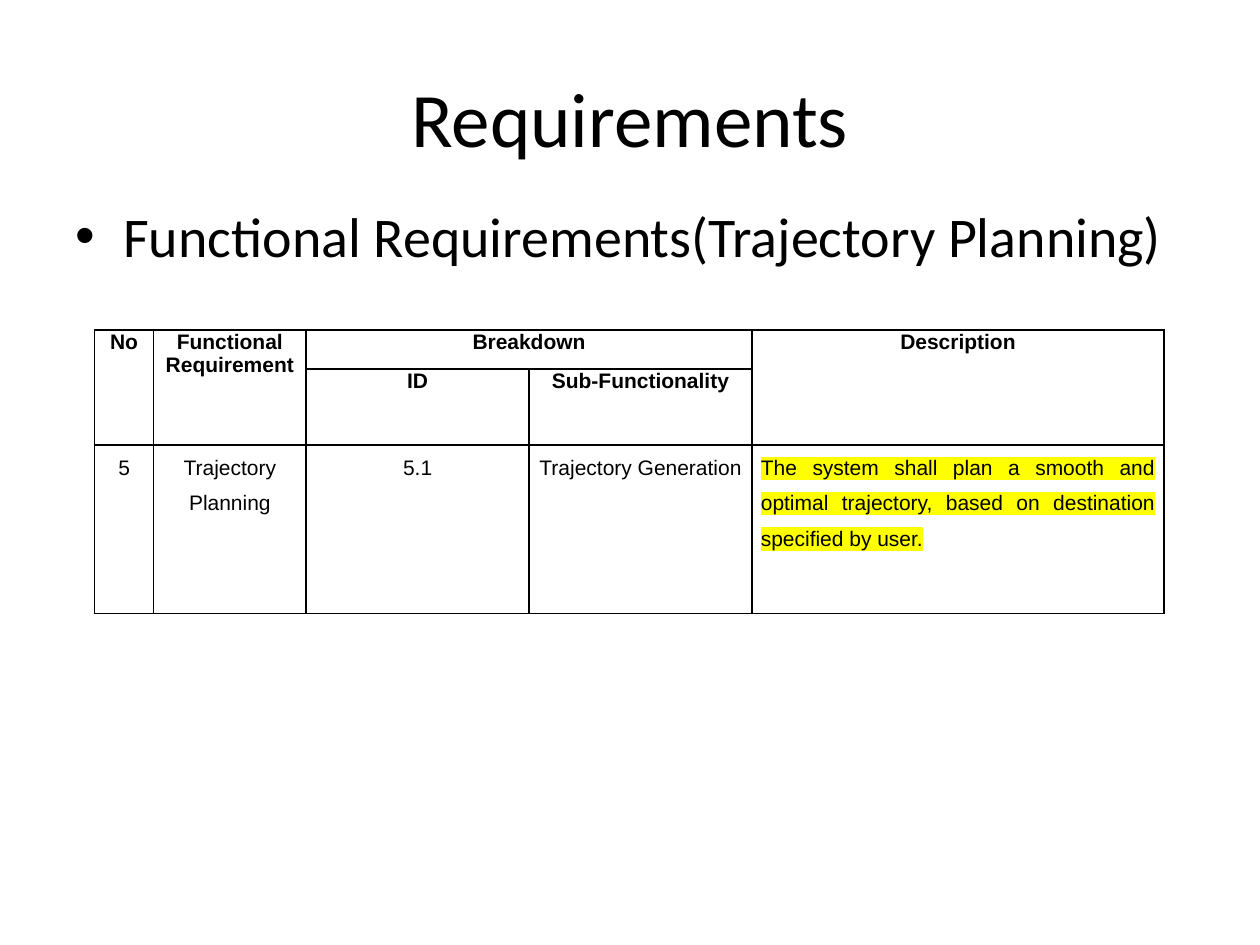
from lxml.etree import SubElement
from pptx import Presentation
from pptx.dml.color import RGBColor
from pptx.enum.text import MSO_ANCHOR as Anchor, PP_ALIGN as Align
from pptx.oxml import parse_xml
from pptx.oxml.ns import nsdecls, qn
from pptx.util import Inches, Pt

BLACK = RGBColor(0, 0, 0)
YELLOW = RGBColor(255, 255, 0)

deck = Presentation()
deck.slide_width, deck.slide_height = Inches(10), Inches(7.5)
slide = deck.slides.add_slide(deck.slide_layouts[6])


def add_run(para, text, size, face, bold=False):
    run = para.add_run()
    run.text = text
    font = run.font
    font.size, font.name, font.bold = Pt(size), face, bold
    font.color.rgb = BLACK
    return run


def add_edges(cell):
    """Draw a thin black line on all four sides of the cell."""
    props = cell._tc.get_or_add_tcPr()
    for spot, tag in enumerate(("lnL", "lnR", "lnT", "lnB")):
        props.insert(spot, parse_xml(
            f'<a:{tag} {nsdecls("a")} w="12700"><a:solidFill>'
            f'<a:srgbClr val="{BLACK}"/></a:solidFill></a:{tag}>'))


# Title
box = slide.shapes.add_textbox(Inches(0.5), Inches(0.3), Inches(9), Inches(1.25))
frame = box.text_frame
frame.word_wrap = True
frame.vertical_anchor = Anchor.MIDDLE
para = frame.paragraphs[0]
para.alignment = Align.CENTER
add_run(para, "Requirements", 44, "Calibri")

# Bullet line
box = slide.shapes.add_textbox(Inches(0.5), Inches(1.55), Inches(9), Inches(5.15))
frame = box.text_frame
frame.word_wrap = True
para = frame.paragraphs[0]
props = para._p.get_or_add_pPr()
props.set("marL", str(Inches(0.38)))
props.set("indent", str(Inches(-0.38)))
SubElement(props, qn("a:buFont"), typeface="Arial")
SubElement(props, qn("a:buChar"), char="•")
add_run(para, "Functional Requirements(Trajectory Planning)", 32, "Calibri")

# Requirements table
WIDTHS = [0.47, 1.21, 1.77, 1.77, 3.27]
HEIGHTS = [0.31, 0.6, 1.34]
ROWS = [
    ["No", "Functional Requirement", "Breakdown", "", "Description"],
    ["", "", "ID", "Sub-Functionality", ""],
    ["5", "Trajectory Planning", "5.1", "Trajectory Generation",
     "The system shall plan a smooth and optimal trajectory, "
     "based on destination specified by user."],
]
grid = slide.shapes.add_table(
    len(ROWS), len(WIDTHS), Inches(0.75), Inches(2.62),
    Inches(sum(WIDTHS)), Inches(sum(HEIGHTS))).table
grid.first_row = grid.horz_banding = False
for col, width in zip(grid.columns, WIDTHS):
    col.width = Inches(width)
for row, height in zip(grid.rows, HEIGHTS):
    row.height = Inches(height)

for r, texts in enumerate(ROWS):
    head = r < 2
    for c, text in enumerate(texts):
        cell = grid.cell(r, c)
        cell.fill.background()
        add_edges(cell)
        cell.margin_left = cell.margin_right = Inches(0.07)
        cell.margin_top = cell.margin_bottom = 0
        if not text:
            continue
        para = cell.text_frame.paragraphs[0]
        para.alignment = Align.CENTER
        if not head:
            para.line_spacing = 1.5
        run = add_run(para, text, 12, "Arial", head)

# The description, last to be written, is justified and highlighted
para.alignment = Align.JUSTIFY
fill = run.font._element.find(qn("a:solidFill"))
fill.addnext(parse_xml(
    f'<a:highlight {nsdecls("a")}><a:srgbClr val="{YELLOW}"/></a:highlight>'))

for c in (0, 1, 4):
    grid.cell(0, c).merge(grid.cell(1, c))
grid.cell(0, 2).merge(grid.cell(0, 3))

deck.save("out.pptx")
